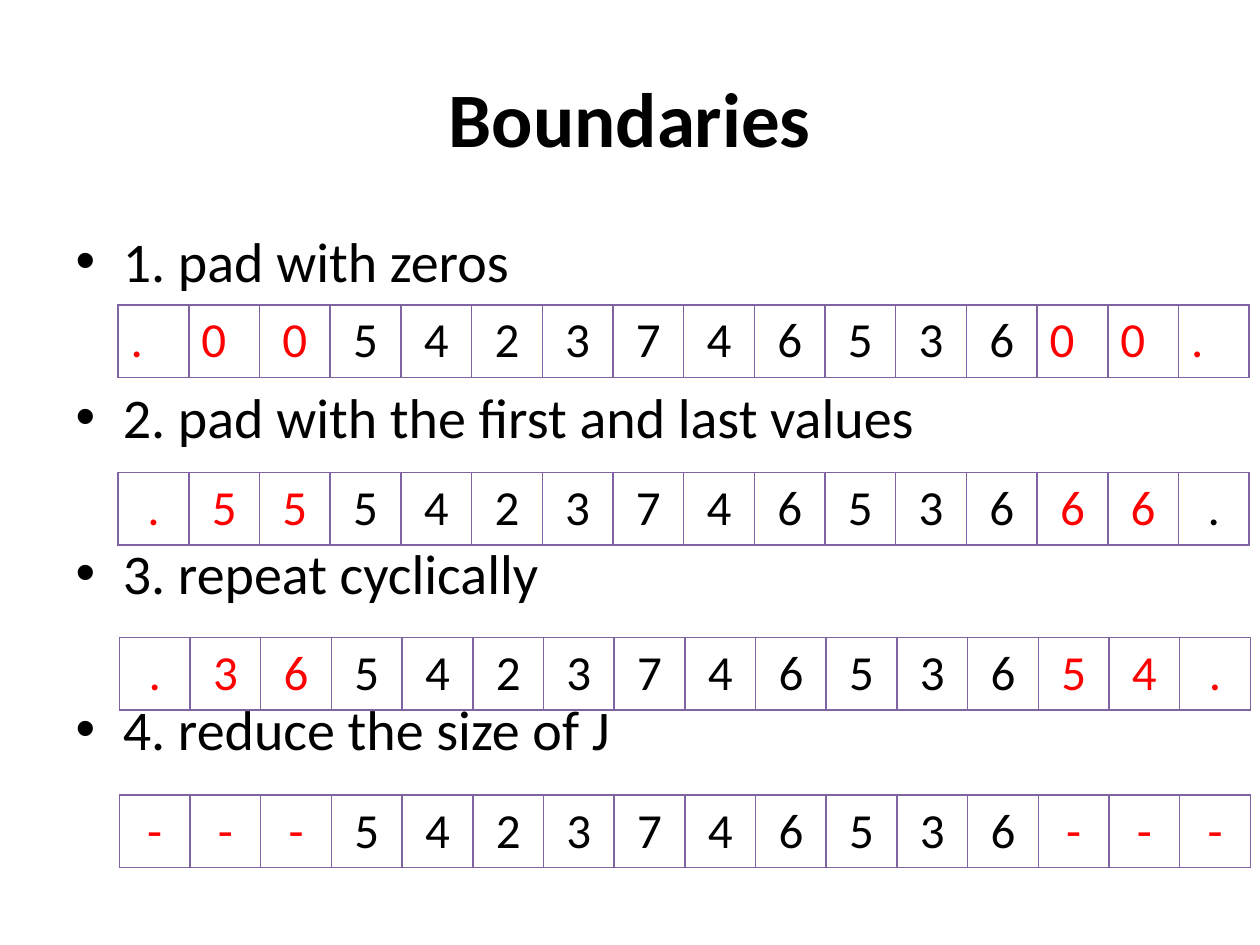
from dataclasses import dataclass

from lxml import etree
from pptx import Presentation
from pptx.dml.color import RGBColor
from pptx.enum import text
from pptx.oxml import ns
from pptx.util import Pt


@dataclass(frozen=True)
class Theme:
    """Colours and type sizes of the slide."""
    font: str = "Calibri"
    ink: str = "000000"
    padding: str = "FF0000"
    border: str = "8064A2"
    title_size: int = 44
    list_size: int = 32
    cell_size: int = 28


THEME = Theme()
SIGNAL = "5423746536"
METHODS = ["1. pad with zeros", "2. pad with the first and last values",
           "3. repeat cyclically", "4. reduce the size of J"]
ROW_SIZE = (646.4, 41.4)


def format_font(font, size, color=THEME.ink, bold=False):
    """Apply the theme's typeface with a size, colour and weight."""
    font.name = THEME.font
    font.size = Pt(size)
    font.bold = bold
    font.color.rgb = RGBColor.from_string(color)


def place(shape, box):
    """Move and size a shape to a box given in points."""
    shape.left, shape.top, shape.width, shape.height = map(Pt, box)


def fill_title(title, box, wording):
    """Place the centred slide title."""
    place(title, box)
    frame = title.text_frame
    frame.text = wording
    frame.vertical_anchor = text.MSO_ANCHOR.MIDDLE
    frame.paragraphs[0].alignment = text.PP_ALIGN.CENTER
    format_font(frame.paragraphs[0].font, THEME.title_size, bold=True)


def fill_methods(body, box, methods, gap):
    """Place the bulleted methods with a gap for a signal row after each."""
    place(body, box)
    frame = body.text_frame
    frame.text = "\n".join(methods)
    frame.auto_size = text.MSO_AUTO_SIZE.NONE
    for index, paragraph in enumerate(frame.paragraphs):
        paragraph.space_before = Pt(gap if index else 0)
        format_font(paragraph.font, THEME.list_size)


def draw_borders(cell):
    """Outline a table cell on all four sides."""
    properties = cell._tc.get_or_add_tcPr()
    for side in ("a:lnL", "a:lnR", "a:lnT", "a:lnB"):
        line = etree.SubElement(properties, ns.qn(side), w=str(Pt(1)))
        fill = etree.SubElement(line, ns.qn("a:solidFill"))
        etree.SubElement(fill, ns.qn("a:srgbClr"), val=THEME.border)


def add_signal(slide, box, before, after, plain=(), left_aligned=()):
    """Add one row holding the signal between its padding values."""
    values = before + SIGNAL + after
    table = slide.shapes.add_table(1, len(values), *map(Pt, box)).table
    table.first_row = table.horz_banding = False
    table.rows[0].height = Pt(box[3])
    signal = range(len(before), len(before) + len(SIGNAL))
    for index, value in enumerate(values):
        table.columns[index].width = Pt(box[2] / len(values))
        cell = table.cell(0, index)
        draw_borders(cell)
        cell.fill.background()
        cell.text = value
        paragraph = cell.text_frame.paragraphs[0]
        if index not in left_aligned:
            cell.vertical_anchor = text.MSO_ANCHOR.MIDDLE
            paragraph.alignment = text.PP_ALIGN.CENTER
        color = THEME.ink if index in signal or index in plain else THEME.padding
        format_font(paragraph.font, THEME.cell_size, color)


def main():
    """Build the slide on boundary handling."""
    presentation = Presentation()
    presentation.slide_width, presentation.slide_height = Pt(720), Pt(540)
    slide = presentation.slides.add_slide(presentation.slide_layouts[1])
    fill_title(slide.shapes.title, (36, 21.6, 648, 90), "Boundaries")
    fill_methods(slide.placeholders[1], (36, 126, 648, 356.4), METHODS, 50.6)
    add_signal(slide, (67.5, 174.2, *ROW_SIZE), ".00", "00.",
               left_aligned=(0, 1, 13, 14, 15))
    add_signal(slide, (67.5, 270, *ROW_SIZE), ".55", "66.", plain=(15,))
    add_signal(slide, (68.2, 364.3, *ROW_SIZE), ".36", "54.")
    add_signal(slide, (68.2, 454.3, *ROW_SIZE), "---", "---")
    presentation.save("out.pptx")


if __name__ == "__main__":
    main()
